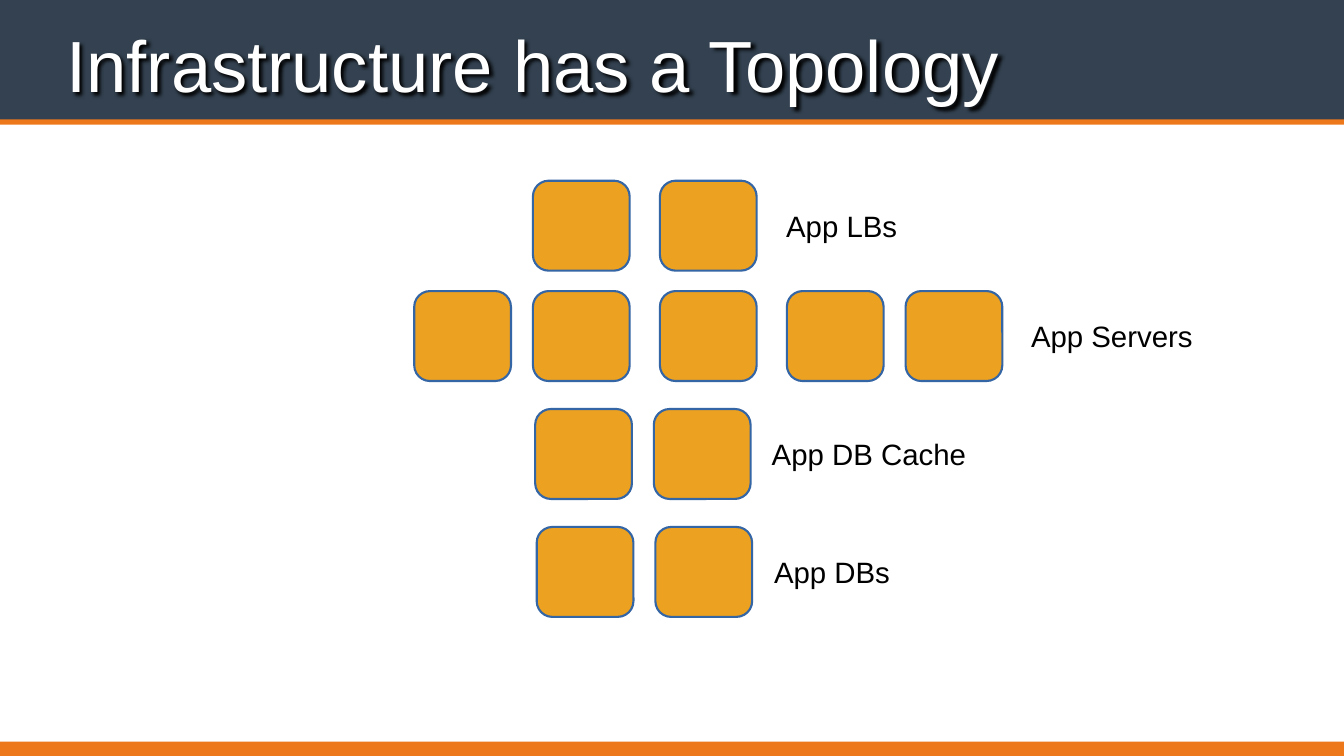
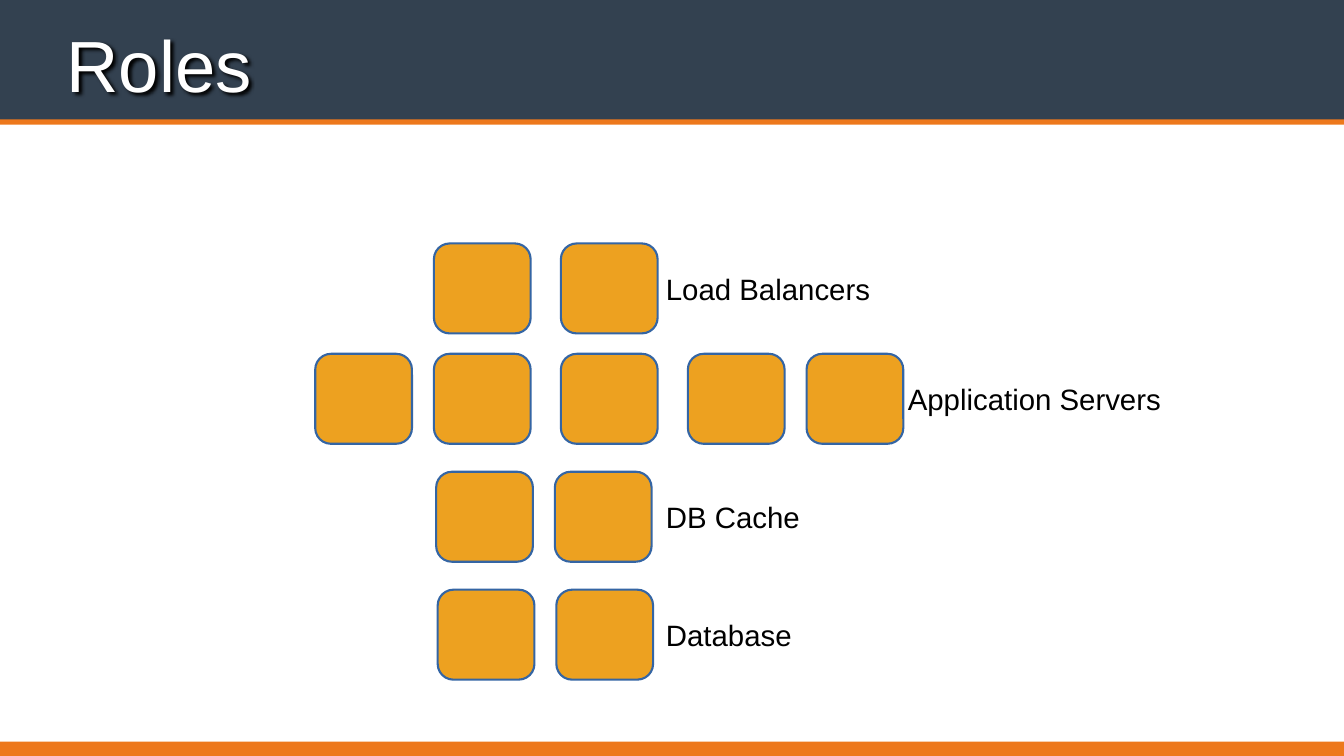
import itertools
import lxml.etree
import pptx
import pptx.dml.color
import pptx.enum.shapes
import pptx.enum.text
import pptx.oxml
import pptx.oxml.ns
import pptx.util

# Content: origin of the tile grid, then a label and its left edge for each tier
SLIDES = [
    {"title": "Infrastructure has a Topology", "origin": (5.48, 2.39),
     "labels": [("App LBs", 10.4), ("App Servers", 13.64),
                ("App DB Cache", 10.21), ("App DBs", 10.24)]},
    {"title": "Roles", "origin": (4.17, 3.22),
     "labels": [("Load Balancers", 8.81), ("Application Servers", 12.01),
                ("DB Cache", 8.81), ("Database", 8.81)]},
]

# Tiers: drop from the tier above, indent of the first tile, steps between tiles
NEAR, FAR = 1.57, 1.68
TIERS = [
    (0, NEAR, [FAR]),
    (1.46, 0, [NEAR, FAR, FAR, NEAR]),
    (1.56, 1.6, [NEAR]),
    (1.56, 1.62, [NEAR]),
]

# Shared style
COLORS = {"header": "334150", "accent": "ED781C", "tile": "EDA120",
          "tile edge": "3465A4", "title": "FFFFFF", "label": "000000"}
FONT = "Arial"
WIDTH, HEIGHT = 17.78, 10
TILE_W, TILE_H = 1.28, 1.19
LABEL_W, LABEL_H = 4.6, 0.43
BANDS = [(-0.14, 1.78, "header"), (1.58, 0.07, "accent"), (9.81, 0.25, "accent")]
TITLE_BOX = (0.88, 0.19, 16.03, 1.22)
TITLE_SHADOW = (
    f'<a:effectLst {pptx.oxml.ns.nsdecls("a")}>'
    '<a:outerShdw blurRad="50800" dist="38100" dir="2700000" algn="tl" rotWithShape="0">'
    '<a:srgbClr val="000000"/></a:outerShdw></a:effectLst>')


def color(name):
    return pptx.dml.color.RGBColor.from_string(COLORS[name])


def inches(*lengths):
    return [pptx.util.Inches(length) for length in lengths]


def write(holder, text, size, ink, anchor):
    frame = holder.text_frame
    frame.word_wrap = True
    frame.auto_size = pptx.enum.text.MSO_AUTO_SIZE.NONE
    frame.vertical_anchor = anchor
    frame.margin_left = frame.margin_top = frame.margin_right = frame.margin_bottom = 0
    paragraph = frame.paragraphs[0]
    paragraph.alignment = pptx.enum.text.PP_ALIGN.LEFT
    run = paragraph.add_run()
    run.text = text
    run.font.name, run.font.size = FONT, pptx.util.Pt(size)
    run.font.color.rgb = color(ink)


def draw(slide, kind, box, fill, edge=None):
    shape = slide.shapes.add_shape(kind, *inches(*box))
    shape.shadow.inherit = False
    shape.fill.solid()
    shape.fill.fore_color.rgb = color(fill)
    if edge:
        shape.line.color.rgb = color(edge)
        shape.line.width = pptx.util.Pt(2)
    else:
        shape.line.fill.background()
    return shape


def add_bands(slide):
    """Draw the bands and move them to the layout, behind its placeholders."""
    tree = slide.slide_layout.shapes.element
    for place, (top, height, fill) in enumerate(BANDS):
        band = draw(slide, pptx.enum.shapes.MSO_SHAPE.RECTANGLE,
                    (0, top, WIDTH, height), fill)
        band.element.nvSpPr.cNvPr.set("id", str(101 + place))
        tree.insert(2 + place, band.element)


def add_title(slide, text):
    title = slide.shapes.title
    title.left, title.top, title.width, title.height = inches(*TITLE_BOX)
    write(title, text, 69, "title", pptx.enum.text.MSO_ANCHOR.BOTTOM)
    title.element.spPr.append(pptx.oxml.parse_xml(TITLE_SHADOW))


def add_tiers(slide, origin, labels):
    left, top = origin
    for (drop, indent, steps), (label, label_left) in zip(TIERS, labels):
        top += drop
        for x in itertools.accumulate([left + indent] + steps):
            tile = draw(slide, pptx.enum.shapes.MSO_SHAPE.ROUNDED_RECTANGLE,
                        (x, top, TILE_W, TILE_H), "tile", "tile edge")
            tile.adjustments[0] = 0.175
        label_top = top + (TILE_H - LABEL_H) / 2
        caption = slide.shapes.add_textbox(
            *inches(label_left, label_top, min(LABEL_W, WIDTH - label_left), LABEL_H))
        write(caption, label, 28, "label", pptx.enum.text.MSO_ANCHOR.MIDDLE)


def main():
    deck = pptx.Presentation()
    deck.slide_width, deck.slide_height = inches(WIDTH, HEIGHT)
    layout = deck.slide_layouts.get_by_name("Title Only")
    for number, content in enumerate(SLIDES):
        slide = deck.slides.add_slide(layout)
        if number == 0:
            add_bands(slide)
        add_title(slide, content["title"])
        add_tiers(slide, content["origin"], content["labels"])
    deck.save("out.pptx")


if __name__ == "__main__":
    main()
